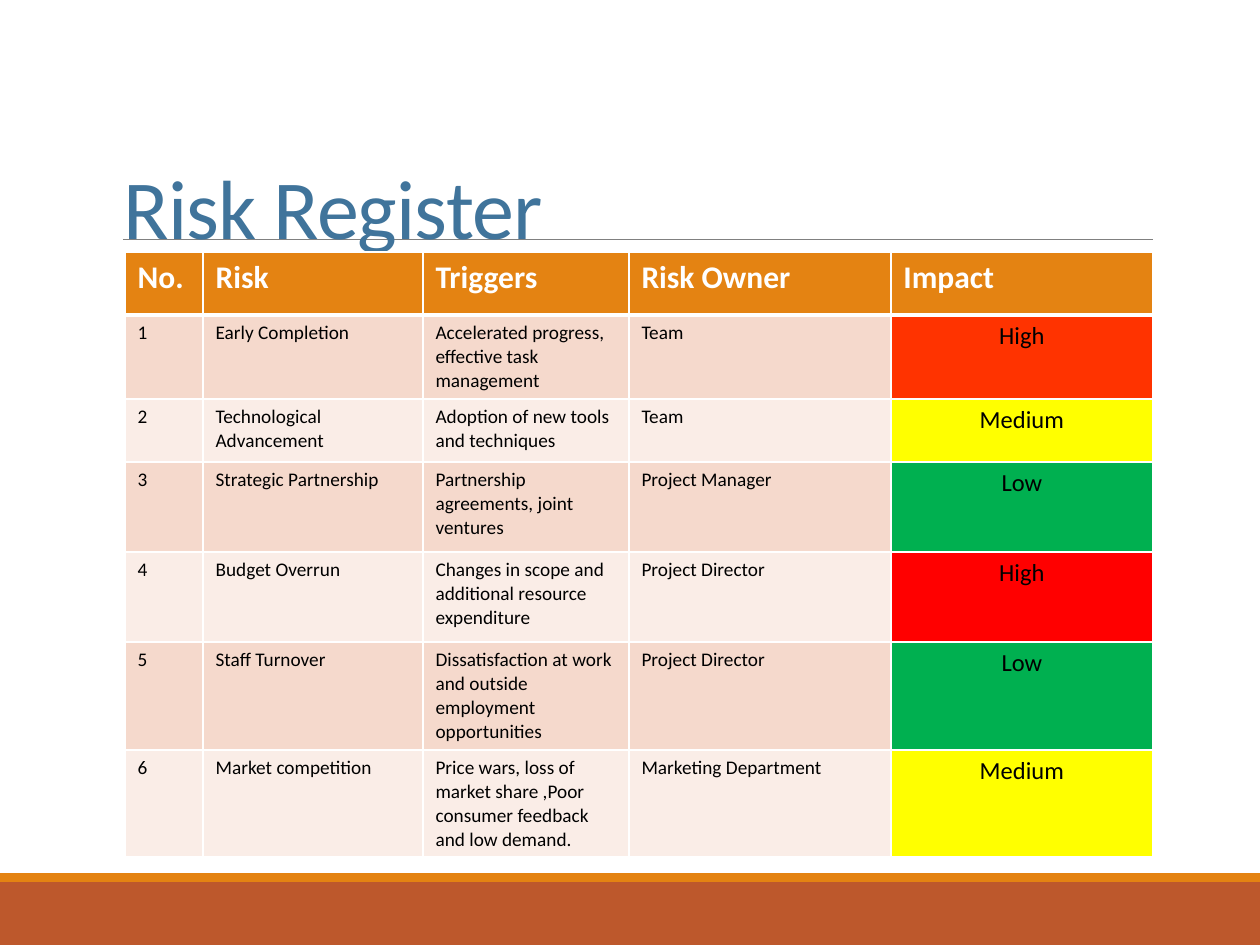
from dataclasses import dataclass

import pptx
import pptx.dml.color
import pptx.enum.shapes
import pptx.enum.text
import pptx.oxml.ns
import pptx.util
from lxml import etree


@dataclass(frozen=True)
class Theme:
    font: str = "Calibri"
    title: str = "40749B"
    rule: str = "808080"
    footer: str = "BD582C"
    accent: str = "E48312"
    white: str = "FFFFFF"
    black: str = "000000"
    bands: tuple = ("F5D9CC", "FAEDE7")
    red_orange: str = "FF3300"
    red: str = "FF0000"
    yellow: str = "FFFF00"
    green: str = "00B050"
    title_size: int = 48
    header_size: int = 18
    body_size: int = 11
    impact_size: int = 14


THEME = Theme()
PX_PER_INCH = 126
COLUMN_WIDTHS = (78, 220, 206, 262, 262)
ROW_HEIGHTS = (63, 84, 63, 90, 90, 108, 107)
HEADERS = ("No.", "Risk", "Triggers", "Risk Owner", "Impact")
RISKS = (
    ("Early Completion", "Accelerated progress, effective task management",
     "Team", "High", THEME.red_orange),
    ("Technological Advancement", "Adoption of new tools and techniques",
     "Team", "Medium", THEME.yellow),
    ("Strategic Partnership", "Partnership agreements, joint ventures",
     "Project Manager", "Low", THEME.green),
    ("Budget Overrun", "Changes in scope and additional resource expenditure",
     "Project Director", "High", THEME.red),
    ("Staff Turnover", "Dissatisfaction at work and outside employment opportunities",
     "Project Director", "Low", THEME.green),
    ("Market competition",
     "Price wars, loss of market share ,Poor consumer feedback and low demand.",
     "Marketing Department", "Medium", THEME.yellow),
)


def px(length):
    return pptx.util.Emu(round(length * pptx.util.Inches(1) / PX_PER_INCH))


def rgb(color):
    return pptx.dml.color.RGBColor.from_string(color)


def set_fill(item, color):
    item.fill.solid()
    item.fill.fore_color.rgb = rgb(color)


def set_font(paragraph, size, color, bold=False):
    font = paragraph.font
    font.name = THEME.font
    font.size = pptx.util.Pt(size)
    font.bold = bold
    font.color.rgb = rgb(color)


def add_band(slide, top, height, color):
    shape = slide.shapes.add_shape(
        pptx.enum.shapes.MSO_SHAPE.RECTANGLE, 0, px(top), px(1260), px(height))
    shape.shadow.inherit = False
    set_fill(shape, color)
    shape.line.fill.background()


def add_rule(slide, left, right, top):
    connector = slide.shapes.add_connector(
        pptx.enum.shapes.MSO_CONNECTOR.STRAIGHT, px(left), px(top), px(right), px(top))
    connector.line.color.rgb = rgb(THEME.rule)
    connector.line.width = pptx.util.Pt(0.5)
    etree.SubElement(connector._element.spPr, pptx.oxml.ns.qn("a:effectLst"))


def add_title(slide, text):
    shape = slide.shapes.add_textbox(px(111), px(63), px(1040), px(200))
    frame = shape.text_frame
    frame.word_wrap = True
    frame.vertical_anchor = pptx.enum.text.MSO_ANCHOR.BOTTOM
    paragraph = frame.paragraphs[0]
    run = paragraph.add_run()
    run.text = text
    paragraph.line_spacing = 0.85
    set_font(paragraph, THEME.title_size, THEME.title)
    run._r.get_or_add_rPr().set("spc", "-50")


def set_borders(cell, top, bottom):
    properties = cell._tc.get_or_add_tcPr()
    for side, width in (("L", 1), ("R", 1), ("T", top), ("B", bottom)):
        line = etree.SubElement(properties, pptx.oxml.ns.qn(f"a:ln{side}"),
                                w=str(pptx.util.Pt(width)))
        fill = etree.SubElement(line, pptx.oxml.ns.qn("a:solidFill"))
        etree.SubElement(fill, pptx.oxml.ns.qn("a:srgbClr"), val=THEME.white)


def fill_cell(cell, text, fill, size, color=THEME.black, bold=False,
              centered=False, top=1, bottom=1):
    cell.text = text
    paragraph = cell.text_frame.paragraphs[0]
    set_font(paragraph, size, color, bold)
    if centered:
        paragraph.alignment = pptx.enum.text.PP_ALIGN.CENTER
    set_borders(cell, top, bottom)
    set_fill(cell, fill)


def add_register(slide, left, top):
    table = slide.shapes.add_table(
        len(ROW_HEIGHTS), len(COLUMN_WIDTHS), px(left), px(top),
        px(sum(COLUMN_WIDTHS)), px(sum(ROW_HEIGHTS))).table
    for column, width in zip(table.columns, COLUMN_WIDTHS):
        column.width = px(width)
    for row, height in zip(table.rows, ROW_HEIGHTS):
        row.height = px(height)
    for column, header in enumerate(HEADERS):
        fill_cell(table.cell(0, column), header, THEME.accent, THEME.header_size,
                  THEME.white, bold=True, bottom=3)
    for number, (*details, impact, impact_color) in enumerate(RISKS, start=1):
        top_border = 3 if number == 1 else 1
        band = THEME.bands[(number - 1) % 2]
        for column, text in enumerate((str(number), *details)):
            fill_cell(table.cell(number, column), text, band, THEME.body_size,
                      top=top_border)
        fill_cell(table.cell(number, len(HEADERS) - 1), impact, impact_color,
                  THEME.impact_size, centered=True, top=top_border)


def main():
    presentation = pptx.Presentation()
    presentation.slide_width = px(1260)
    presentation.slide_height = px(945)
    slide = presentation.slides.add_slide(presentation.slide_layouts[6])
    add_band(slide, 882, 63, THEME.footer)
    add_band(slide, 873, 9, THEME.accent)
    add_rule(slide, 123, 1153, 239)
    add_title(slide, "Risk Register")
    add_register(slide, 125, 252)
    presentation.save("out.pptx")


if __name__ == "__main__":
    main()
